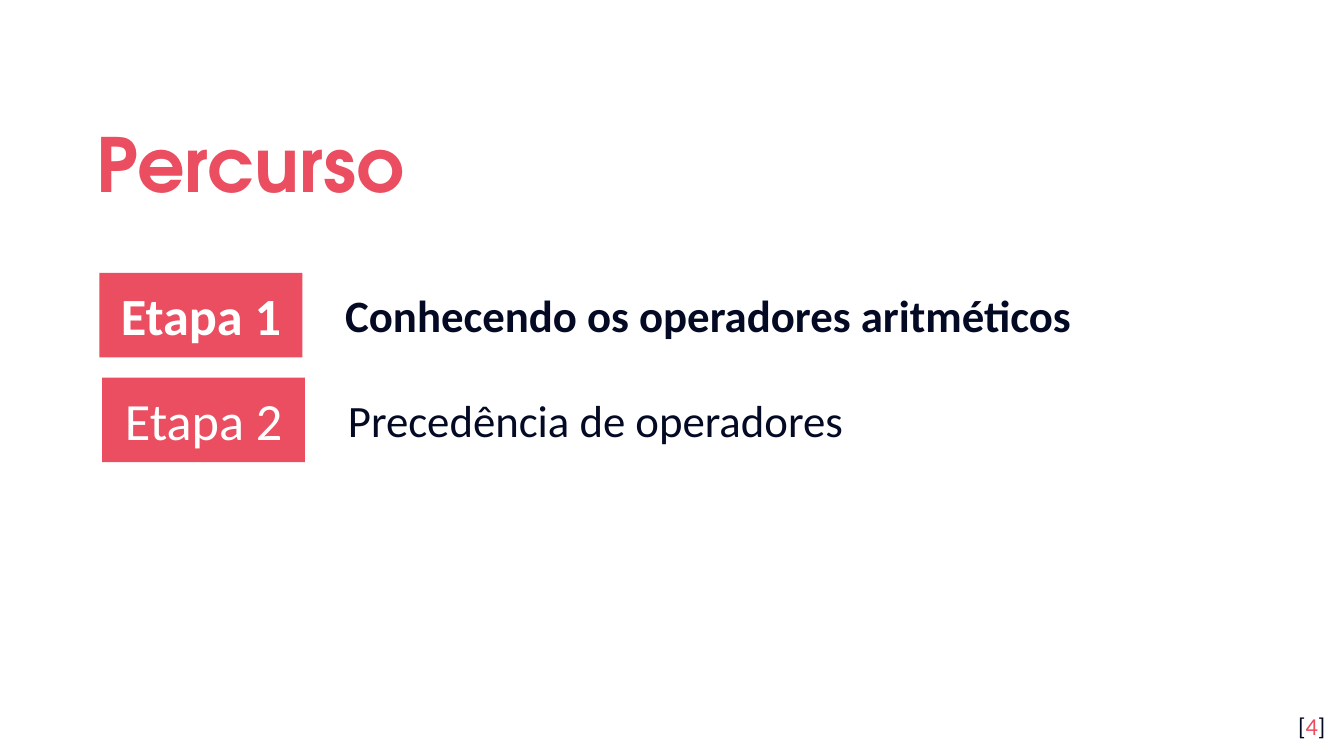
from pptx import Presentation, util as u
from pptx.dml.color import RGBColor
from pptx.enum import shapes, text

TITLE = "Percurso"
STEPS = [
    ("Etapa 1", "Conhecendo os operadores aritméticos", True),
    ("Etapa 2", "Precedência de operadores", False),
]
PAGE = [("[", "ink"), ("4", "rose"), ("]", "ink")]

HEX = {"rose": "EA4E60", "ink": "040A24", "white": "FFFFFF"}
WIDE = 10
HIGH = WIDE * 9 / 16
LEFT, TOP = 0.74, 2.03      # first step
SHIFT, PITCH = 0.02, 0.78   # offset from one step to the next
TAG_W, TAG_H = 1.51, 0.63
GAP = 0.22                  # between a tag and its topic
TOPIC_W, TOPIC_H = 6.75, 0.5

ALIGN = text.PP_ALIGN
MIDDLE, UPPER = text.MSO_ANCHOR.MIDDLE, text.MSO_ANCHOR.TOP


def color(name):
    return RGBColor.from_string(HEX[name])


def box(*at):
    return [u.Inches(n) for n in at]


def write(shape, runs, size, font="Calibri", bold=False,
          align=ALIGN.LEFT, anchor=UPPER, pad=0.1, lead=1.0):
    """Fill a shape with one paragraph of (words, colour) runs."""
    frame = shape.text_frame
    form = {
        "word_wrap": True, "auto_size": text.MSO_AUTO_SIZE.NONE,
        "vertical_anchor": anchor,
        "margin_left": u.Inches(0.1), "margin_right": u.Inches(0.1),
        "margin_top": u.Inches(pad), "margin_bottom": u.Inches(pad),
    }
    for key, value in form.items():
        setattr(frame, key, value)
    para = frame.paragraphs[0]
    para.alignment, para.line_spacing = align, lead
    for words, tint in runs:
        run = para.add_run()
        run.text = words
        for key, value in {"name": font, "size": u.Pt(size), "bold": bold}.items():
            setattr(run.font, key, value)
        run.font.color.rgb = color(tint)


def main():
    deck = Presentation()
    deck.slide_width, deck.slide_height = box(WIDE, HIGH)
    slide = deck.slides.add_slide(deck.slide_layouts[5])
    parts = slide.shapes

    title = parts.title
    title.left, title.top, title.width, title.height = box(0.62, 0.7, 8.1, 0.92)
    write(title, [(TITLE, "rose")], 40, "TeX Gyre Adventor", True,
          anchor=MIDDLE, lead=1.15)

    for row, (label, topic, bold) in enumerate(STEPS):
        x, y = LEFT + row * SHIFT, TOP + row * PITCH
        tag = parts.add_shape(shapes.MSO_SHAPE.RECTANGLE, *box(x, y, TAG_W, TAG_H))
        tag.shadow.inherit = False
        tag.fill.solid()
        tag.fill.fore_color.rgb = color("rose")
        tag.line.fill.background()
        write(tag, [(label, "white")], 28, bold=bold,
              align=ALIGN.CENTER, anchor=MIDDLE)

        note = parts.add_textbox(*box(x + TAG_W + GAP, y + (TAG_H - TOPIC_H) / 2,
                                      TOPIC_W, TOPIC_H))
        write(note, [(topic, "ink")], 24, bold=bold, pad=0.05)

    page = parts.add_textbox(*box(WIDE - 0.64, HIGH - 0.43, 0.6, 0.43))
    write(page, PAGE, 13, align=ALIGN.RIGHT)

    deck.save("out.pptx")


if __name__ == "__main__":
    main()
